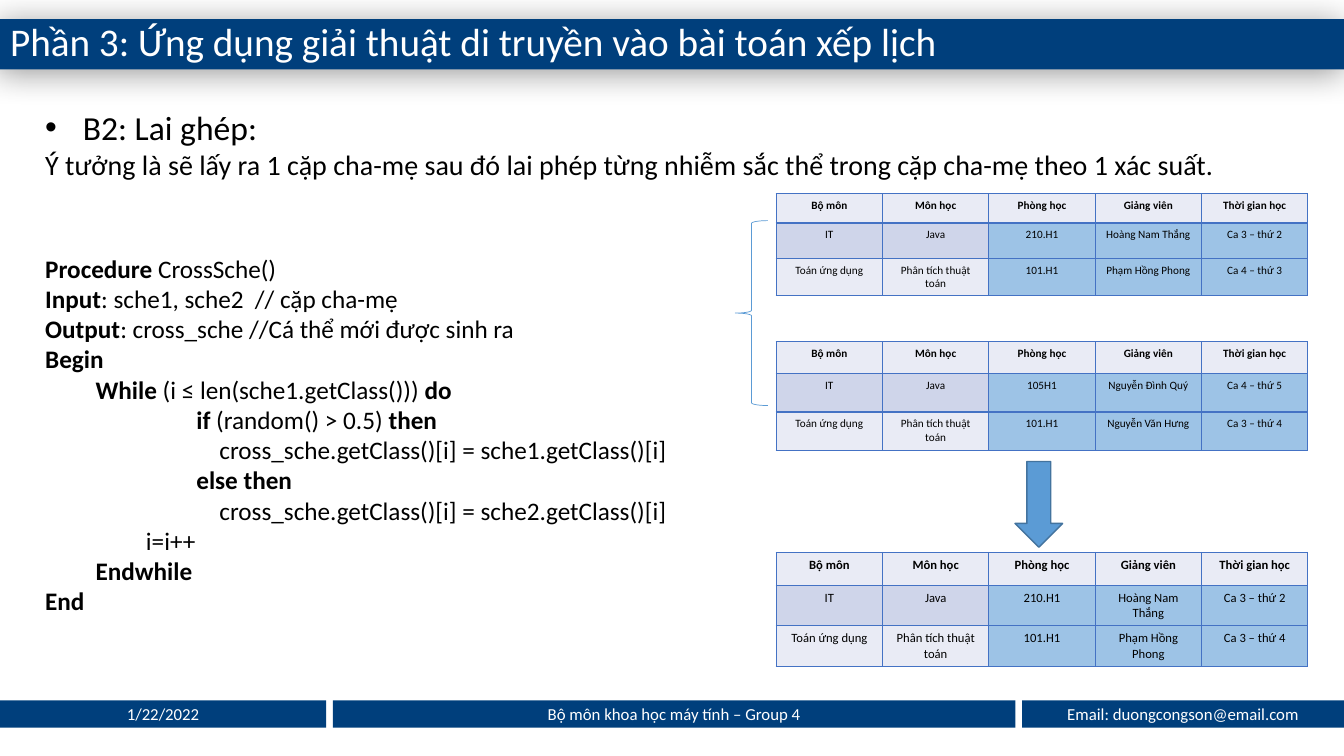
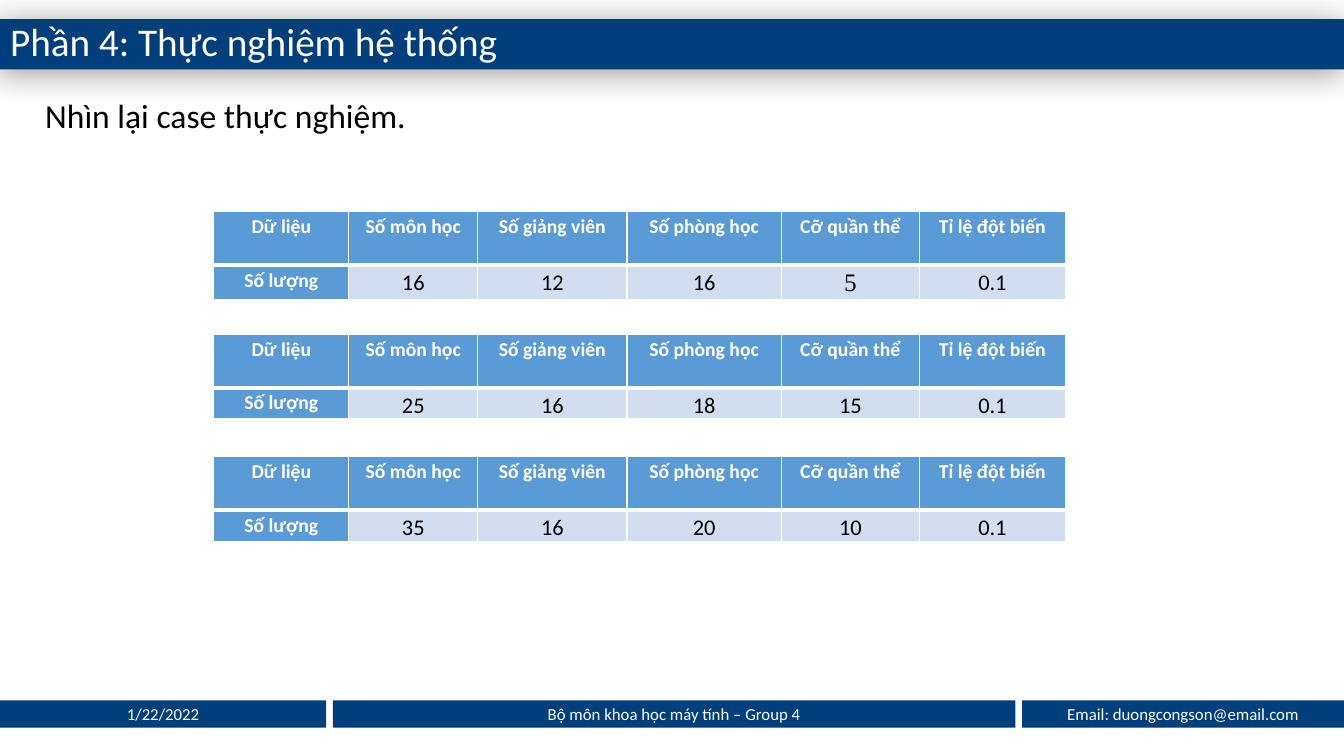
from pptx import Presentation, util as u
from pptx.dml.color import RGBColor
from pptx.enum import shapes, text
from pptx.oxml import parse_xml
from pptx.oxml.ns import nsdecls

Cm, Pt = u.Cm, u.Pt
SHAPE, ALIGN, ANCHOR = shapes.MSO_SHAPE, text.PP_ALIGN, text.MSO_ANCHOR

WIDTH, HEIGHT = 33.87, 19.05
COLORS = {
    "band": "003F7C", "white": "FFFFFF", "black": "000000",
    "blue": "5B9BD5", "arrow_edge": "43739E", "pale_blue": "D2DEEF",
    "grid": "4472C4", "light": "E9EBF5", "lavender": "CFD5EA", "gene": "9DC3E6",
}
FOOTER = [  # left, width, wording
    (0, 8.22, "1/22/2022"),
    (8.39, 17.2, "Bộ môn khoa học máy tính – Group 4"),
    (25.76, 8.11, "Email: duongcongson@email.com"),
]


def rgb(name):
    return RGBColor.from_string(COLORS[name])


def drawing(markup):
    """Parse one element of the DrawingML namespace."""
    tag, rest = markup[:markup.index(" ")], markup[markup.index(" "):]
    return parse_xml(f"{tag} {nsdecls('a')}{rest}")


def write(frame, wording, size=12, color="black", font="Calibri", bold=False,
          align=ALIGN.LEFT, anchor=ANCHOR.TOP, spacing=None, after=None,
          indent=0, bullet=False, add=False):
    """Write one paragraph; parts between ** are bold. Indent is in cm."""
    frame.word_wrap = True
    frame.vertical_anchor = anchor
    paragraph = frame.add_paragraph() if add else frame.paragraphs[0]
    props = paragraph._p.get_or_add_pPr()
    if indent:
        props.set("marL", str(Cm(indent)))
        props.set("indent", str(-Cm(indent) if bullet else 0))
    if bullet:
        props.append(drawing('<a:buFont typeface="Arial"/>'))
        props.append(drawing('<a:buChar char="•"/>'))
    paragraph.alignment = align
    if spacing:
        paragraph.line_spacing = spacing
    if after:
        paragraph.space_after = Pt(after)
    for number, part in enumerate(wording.split("**")):
        if not part:
            continue
        run = paragraph.add_run()
        run.text = part
        run.font.name, run.font.size = font, Pt(size)
        run.font.bold = bold or number % 2 == 1
        run.font.color.rgb = rgb(color)


def set_borders(cell, color, bottom=1):
    props = cell._tc.get_or_add_tcPr()
    for side in "LRTB":
        points = bottom if side == "B" else 1
        props.append(drawing(
            f'<a:ln{side} w="{Pt(points)}"><a:solidFill>'
            f'<a:srgbClr val="{COLORS[color]}"/></a:solidFill></a:ln{side}>'))


class Deck:
    def __init__(self):
        self.show = Presentation()
        self.show.slide_width, self.show.slide_height = Cm(WIDTH), Cm(HEIGHT)
        self.slide = None

    def new_slide(self, heading):
        self.slide = self.show.slides.add_slide(self.show.slide_layouts[5])
        self.title(heading)
        for left, width, wording in FOOTER:
            band = self.shape(SHAPE.RECTANGLE, left, 17.65, width, 0.69, fill="band")
            write(band.text_frame, wording, color="white",
                  align=ALIGN.CENTER, anchor=ANCHOR.MIDDLE)

    def title(self, heading):
        title = self.slide.shapes.title
        title.left, title.top = Cm(0), Cm(0.48)
        title.width, title.height = Cm(WIDTH), Cm(1.27)
        title.fill.solid()
        title.fill.fore_color.rgb = rgb("band")
        title._element.spPr.append(drawing(
            f'<a:effectLst ><a:outerShdw blurRad="{Pt(24)}" dist="{Pt(3)}" '
            f'dir="{135 * 60000}" algn="ctr" rotWithShape="0">'
            f'<a:srgbClr val="{COLORS["black"]}"><a:alpha val="40000"/></a:srgbClr>'
            '</a:outerShdw></a:effectLst>'))
        title.text_frame.auto_size = text.MSO_AUTO_SIZE.NONE
        write(title.text_frame, heading, size=28, color="white",
              anchor=ANCHOR.MIDDLE, spacing=0.9)

    def shape(self, kind, left, top, width, height, fill=None, line=None, weight=1):
        shape = self.slide.shapes.add_shape(
            kind, Cm(left), Cm(top), Cm(width), Cm(height))
        shape.shadow.inherit = False
        if fill:
            shape.fill.solid()
            shape.fill.fore_color.rgb = rgb(fill)
        else:
            shape.fill.background()
        if line:
            shape.line.color.rgb = rgb(line)
            shape.line.width = Pt(weight)
        else:
            shape.line.fill.background()
        return shape

    def text_box(self, left, top, width, height):
        box = self.slide.shapes.add_textbox(Cm(left), Cm(top), Cm(width), Cm(height))
        return box.text_frame

    def table(self, left, top, widths, heights, rows, style):
        """style(cell, row, column) formats a cell and returns its text format."""
        table = self.slide.shapes.add_table(
            len(rows), len(widths), Cm(left), Cm(top),
            Cm(sum(widths)), Cm(sum(heights))).table
        table.horz_banding = False
        for column, width in zip(table.columns, widths):
            column.width = Cm(width)
        for row, height in zip(table.rows, heights):
            row.height = Cm(height)
        for r, row in enumerate(rows):
            for c, wording in enumerate(row):
                cell = table.cell(r, c)
                look = style(cell, r, c)
                write(cell.text_frame, wording, align=ALIGN.CENTER, **look)

    def schedule(self, top, heights, lessons, size=8):
        """Timetable whose last three columns are the genes being crossed."""
        def style(cell, r, c):
            set_borders(cell, "grid")
            cell.fill.solid()
            subject = "lavender" if r == 1 else "light"
            cell.fill.fore_color.rgb = rgb("gene" if r and c > 1 else subject)
            return {"size": size, "bold": r == 0}

        header = ["Bộ môn", "Môn học", "Phòng học", "Giảng viên", "Thời gian học"]
        subjects = [["IT", "Java"], ["Toán ứng dụng", "Phân tích thuật toán"]]
        rows = [header] + [s + list(genes) for s, genes in zip(subjects, lessons)]
        self.table(19.56, top, [2.68] * 5, heights, rows, style)

    def experiment(self, top, values, serif_column=None):
        def style(cell, r, c):
            label = r == 0 or c == 0
            set_borders(cell, "white", bottom=3 if r == 0 else 1)
            cell.fill.solid()
            cell.fill.fore_color.rgb = rgb("blue" if label else "pale_blue")
            cell.margin_left = cell.margin_right = Cm(0.18)
            cell.margin_top = cell.margin_bottom = Cm(0)
            look = {"spacing": 1.15, "after": 8}
            if label:
                return look | {"size": 14, "color": "white", "bold": True}
            if c == serif_column:
                return look | {"size": 18, "font": "Times New Roman"}
            return look | {"size": 16}

        header = ["Dữ liệu", "Số môn học", "Số giảng viên", "Số phòng học",
                  "Cỡ quần thể", "Tỉ lệ đột biến"]
        self.table(5.39, top, [3.4, 3.25, 3.76, 3.89, 3.48, 3.68], [1.35, 0.66],
                   [header, ["Số lượng"] + values], style)


PROCEDURE = [  # indent in cm, code
    (0, "**Procedure** CrossSche()"),
    (0, "**Input**: sche1, sche2  // cặp cha-mẹ"),
    (0, "**Output**: cross_sche //Cá thể mới được sinh ra"),
    (0, "**Begin**"),
    (1.27, "**While** (i ≤ len(sche1.getClass())) **do**"),
    (3.81, "**if** (random() > 0.5) **then**"),
    (4.39, "cross_sche.getClass()[i] = sche1.getClass()[i]"),
    (3.81, "**else then**"),
    (4.39, "cross_sche.getClass()[i] = sche2.getClass()[i]"),
    (2.54, "i=i++"),
    (1.27, "**Endwhile**"),
    (0, "**End**"),
]


def crossover_slide(deck):
    deck.new_slide("Phần 3: Ứng dụng giải thuật di truyền vào bài toán xếp lịch")
    idea = deck.text_box(0.89, 2.57, 32.08, 3)
    write(idea, "B2: Lai ghép:", size=24, indent=0.95, bullet=True)
    write(idea, "Ý tưởng là sẽ lấy ra 1 cặp cha-mẹ sau đó lai phép từng nhiễm sắc thể "
                "trong cặp cha-mẹ theo 1 xác suất.", size=20, add=True)
    code = deck.text_box(0.89, 6.25, 16.92, 9.5)
    for number, (indent, line) in enumerate(PROCEDURE):
        write(code, line, size=18, indent=indent, add=number > 0)

    deck.schedule(4.88, [0.74, 0.89, 0.89], [
        ("210.H1", "Hoàng Nam Thắng", "Ca 3 – thứ 2"),
        ("101.H1", "Phạm Hồng Phong", "Ca 4 – thứ 3")])
    deck.schedule(8.61, [0.8, 0.97, 0.97], [
        ("105H1", "Nguyễn Đình Quý", "Ca 4 – thứ 5"),
        ("101.H1", "Nguyễn Văn Hưng", "Ca 3 – thứ 4")])
    deck.schedule(13.92, [0.83, 0.8, 0.8], [
        ("210.H1", "Hoàng Nam Thắng", "Ca 3 – thứ 2"),
        ("101.H1", "Phạm Hồng Phong", "Ca 3 – thứ 4")], size=9)
    deck.shape(SHAPE.DOWN_ARROW, 25.58, 11.63, 1.2, 2.16, fill="blue", line="arrow_edge")
    deck.shape(SHAPE.LEFT_BRACE, 18.53, 5.56, 0.82, 4.66, line="blue", weight=0.5)


def experiment_slide(deck):
    deck.new_slide("Phần 4: Thực nghiệm hệ thống")
    write(deck.text_box(0.89, 2.26, 32.08, 1.28), "Nhìn lại case thực nghiệm.", size=24)
    cases = [
        (["16", "12", "16", "5", "0.1"], 4),
        (["25", "16", "18", "15", "0.1"], None),
        (["35", "16", "20", "10", "0.1"], None),
    ]
    for number, (values, serif_column) in enumerate(cases):
        deck.experiment(5.33 + 3.09 * number, values, serif_column)


def main():
    deck = Deck()
    crossover_slide(deck)
    experiment_slide(deck)
    deck.show.save("out.pptx")


if __name__ == "__main__":
    main()
